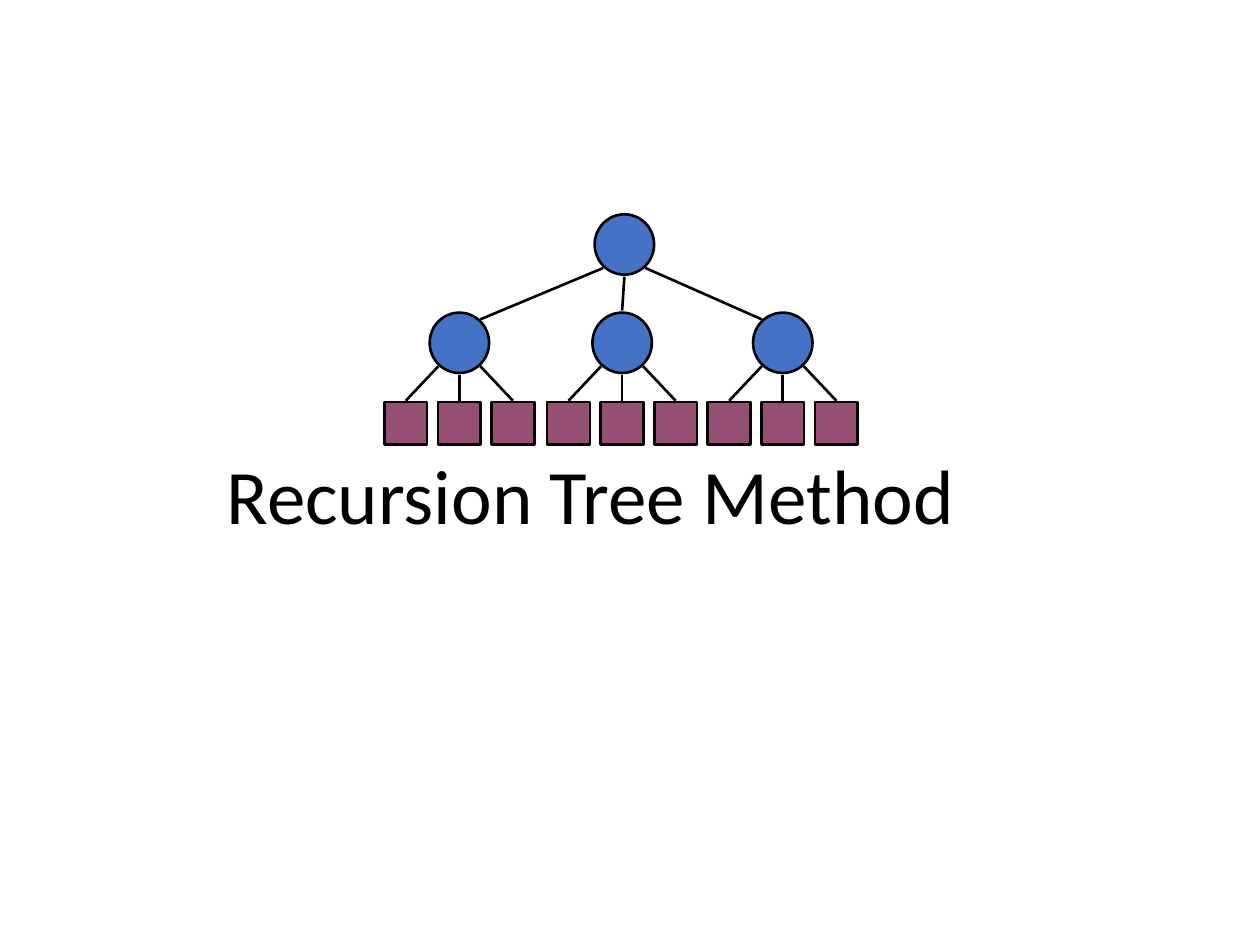
from dataclasses import dataclass

from lxml import etree
from pptx import Presentation
from pptx import util as u
from pptx.dml.color import RGBColor
from pptx.enum import shapes, text
from pptx.oxml.ns import qn


@dataclass(frozen=True)
class Theme:
    font: str = "Calibri"
    title_size: float = 44
    ink: RGBColor = RGBColor(0x00, 0x00, 0x00)
    node: RGBColor = RGBColor(0x44, 0x72, 0xC4)
    leaf: RGBColor = RGBColor(0x95, 0x4F, 0x72)
    line: float = 1.5


THEME = Theme()

# Tree layout, in points
ROOT = (356.8, 139.7)
CHILD_XS = (262.5, 355.5, 447.3)
CHILD_Y = 195.9
NODE_W, NODE_H = 34, 34.5
LEAF_SIZE, LEAF_STEP = 24.5, 30.6
LEAF_TOP = 229.7
SIDES = (-1, 0, 1)


def add_box(s, kind, center, size, fill):
    """Filled, outlined shape placed by its centre."""
    (x, y), (w, h) = center, size
    sp = s.shapes.add_shape(kind, u.Pt(x - w / 2), u.Pt(y - h / 2), u.Pt(w), u.Pt(h))
    sp.shadow.inherit = False
    sp.fill.solid()
    sp.fill.fore_color.rgb = fill
    sp.line.color.rgb = THEME.ink
    sp.line.width = u.Pt(THEME.line)


def add_node(s, center):
    add_box(s, shapes.MSO_SHAPE.OVAL, center, (NODE_W, NODE_H), THEME.node)


def add_edge(s, start, end):
    cx = s.shapes.add_connector(shapes.MSO_CONNECTOR.STRAIGHT, *map(u.Pt, start + end))
    cx.line.color.rgb = THEME.ink
    cx.line.width = u.Pt(THEME.line)
    etree.SubElement(cx.element.spPr, qn("a:effectLst"))


def port(center, side, direction):
    """Point on a node's rim: side -1, 0 or 1; direction -1 is up, 1 is down."""
    x, y = center
    return x + 12 * side, y + direction * (13.4 if side else 18.4)


def add_text(s, content, *, left, top, width, height, size, color):
    tf = s.shapes.add_textbox(*map(u.Pt, (left, top, width, height))).text_frame
    tf.word_wrap = True
    tf.vertical_anchor = text.MSO_ANCHOR.TOP
    tf.margin_left = tf.margin_right = tf.margin_top = tf.margin_bottom = 0
    p = tf.paragraphs[0]
    p.alignment = text.PP_ALIGN.LEFT
    r = p.add_run()
    r.text = content
    r.font.name = THEME.font
    r.font.size = u.Pt(size)
    r.font.color.rgb = color


def add_subtree(s, center):
    """A child node with its three leaves."""
    for side in SIDES:
        x = center[0] + side * LEAF_STEP
        add_edge(s, port(center, side, 1), (x, LEAF_TOP - 0.7))
        add_box(s, shapes.MSO_SHAPE.RECTANGLE, (x, LEAF_TOP + LEAF_SIZE / 2),
                (LEAF_SIZE, LEAF_SIZE), THEME.leaf)
    add_node(s, center)


def main():
    prs = Presentation()
    prs.slide_width, prs.slide_height = u.Pt(720), u.Pt(540)
    s = prs.slides.add_slide(prs.slide_layouts[6])

    # Title
    add_text(s, "Recursion Tree Method", left=129.5, top=255.8, width=480, height=54,
             size=THEME.title_size, color=THEME.ink)

    # Recursion tree
    add_node(s, ROOT)
    for side, x in zip(SIDES, CHILD_XS):
        child = (x, CHILD_Y)
        add_edge(s, port(ROOT, side, 1), port(child, -side, -1))
        add_subtree(s, child)

    prs.save("out.pptx")


if __name__ == "__main__":
    main()
